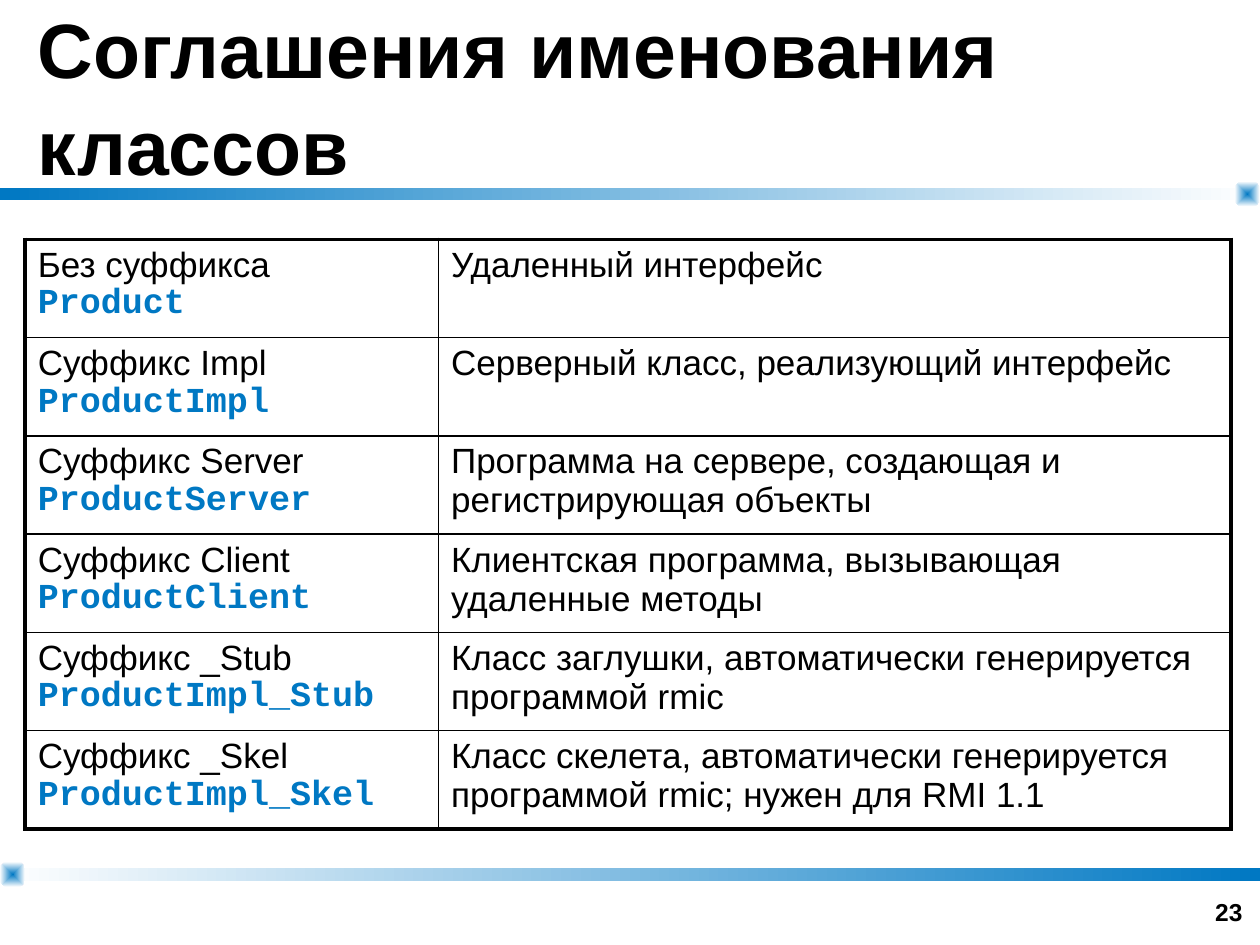
"""Builds a slide with a table of class naming conventions."""
import lxml.etree
import pptx
import pptx.dml.color
import pptx.enum.shapes
import pptx.enum.text
import pptx.oxml
import pptx.oxml.ns
import pptx.util

Inches, Pt = pptx.util.Inches, pptx.util.Pt
MSO_SHAPE = pptx.enum.shapes.MSO_SHAPE
ANCHOR, ALIGN = pptx.enum.text.MSO_ANCHOR, pptx.enum.text.PP_ALIGN
qn = pptx.oxml.ns.qn

HEADING = "Соглашения именования классов"
PAGE = "23"
CONVENTIONS = [
    ("Без суффикса", "Product", "Удаленный интерфейс"),
    ("Суффикс Impl", "ProductImpl", "Серверный класс, реализующий интерфейс"),
    ("Суффикс Server", "ProductServer",
     "Программа на сервере, создающая и регистрирующая объекты"),
    ("Суффикс Client", "ProductClient",
     "Клиентская программа, вызывающая удаленные методы"),
    ("Суффикс _Stub", "ProductImpl_Stub",
     "Класс заглушки, автоматически генерируется программой rmic"),
    ("Суффикс _Skel", "ProductImpl_Skel",
     "Класс скелета, автоматически генерируется программой rmic; нужен для RMI 1.1"),
]
THEME = {
    "text": "000000", "accent": "0078C3", "paper": "FFFFFF",
    "font": "Arial", "code": "Courier New",
    "heading": 44, "cell": 20, "page": 14,
    "outer": 2.25, "inner": 1,
}
COLUMN_WIDTHS = (3.28, 6.29)
ROW_HEIGHT = 0.78
BAR_HEIGHT, KNOB_SIZE = 0.1, 0.2
RULES = [
    (1.49, "accent", "paper", 10 - KNOB_SIZE),
    (6.89, "paper", "accent", 0),
]


def colour(name):
    return pptx.dml.color.RGBColor.from_string(THEME[name])


def add_run(paragraph, text, size, bold=False, font="font", ink="text"):
    run = paragraph.add_run()
    run.text = text
    run.font.name = THEME[font]
    run.font.size = Pt(THEME[size])
    run.font.bold = bold
    run.font.color.rgb = colour(ink)


def add_gradient_shape(slide, preset, box, start, end):
    shape = slide.shapes.add_shape(preset, *map(Inches, box))
    shape.shadow.inherit = False
    shape.line.fill.background()
    shape.fill.gradient()
    shape.fill.gradient_angle = 0
    for stop, name in zip(shape.fill.gradient_stops, (start, end)):
        stop.color.rgb = colour(name)
    return shape


def add_rule(slide, top, start, end, knob_left):
    add_gradient_shape(slide, MSO_SHAPE.RECTANGLE, (0, top, 10, BAR_HEIGHT), start, end)
    knob_top = top + (BAR_HEIGHT - KNOB_SIZE) / 2
    knob = add_gradient_shape(slide, MSO_SHAPE.ROUNDED_RECTANGLE,
                              (knob_left, knob_top, KNOB_SIZE, KNOB_SIZE), "accent", "paper")
    knob.adjustments[0] = 0.32
    linear = knob.element.spPr.find(".//" + qn("a:lin"))
    gradient = linear.getparent()
    gradient.remove(linear)
    radial = lxml.etree.SubElement(gradient, qn("a:path"), {"path": "shape"})
    lxml.etree.SubElement(radial, qn("a:fillToRect"), dict.fromkeys("ltrb", "50000"))


def set_borders(cell, widths):
    properties = cell._tc.get_or_add_tcPr()
    for position, (side, width) in enumerate(widths.items()):
        border = pptx.oxml.parse_xml(
            f'<a:ln{side} {pptx.oxml.ns.nsdecls("a")} w="{Pt(width)}"><a:solidFill>'
            f'<a:srgbClr val="{THEME["text"]}"/></a:solidFill></a:ln{side}>')
        properties.insert(position, border)


def add_conventions(slide):
    row_count, column_count = len(CONVENTIONS), len(COLUMN_WIDTHS)
    table = slide.shapes.add_table(
        row_count, column_count, Inches(0.2), Inches(1.9),
        Inches(sum(COLUMN_WIDTHS)), Inches(ROW_HEIGHT * row_count)).table
    table.first_row = table.horz_banding = False
    for column, width in zip(table.columns, COLUMN_WIDTHS):
        column.width = Inches(width)
    for i, (suffix, example, meaning) in enumerate(CONVENTIONS):
        table.rows[i].height = Inches(ROW_HEIGHT)
        naming = table.cell(i, 0).text_frame.paragraphs[0]
        add_run(naming, suffix, "cell")
        naming.add_line_break()
        add_run(naming, example, "cell", True, "code", "accent")
        add_run(table.cell(i, 1).text_frame.paragraphs[0], meaning, "cell")
        for j in range(column_count):
            cell = table.cell(i, j)
            cell.fill.background()
            at_edge = {"L": j == 0, "R": j == column_count - 1,
                       "T": i == 0, "B": i == row_count - 1}
            set_borders(cell, {side: THEME["outer" if edge else "inner"]
                               for side, edge in at_edge.items()})


def main():
    deck = pptx.Presentation()
    deck.slide_width, deck.slide_height = Inches(10), Inches(7.5)
    slide = deck.slides.add_slide(deck.slide_layouts[5])
    for rule in RULES:
        add_rule(slide, *rule)

    heading = slide.shapes.title
    heading.left, heading.top = Inches(0.2), Inches(0)
    heading.width, heading.height = Inches(9.6), Inches(1.49)
    heading.text_frame.vertical_anchor = ANCHOR.MIDDLE
    heading.text_frame.auto_size = pptx.enum.text.MSO_AUTO_SIZE.NONE
    heading_line = heading.text_frame.paragraphs[0]
    heading_line.alignment = ALIGN.LEFT
    heading_line.line_spacing = 1.05
    add_run(heading_line, HEADING, "heading", True)

    page = slide.shapes.add_textbox(Inches(7.63), Inches(6.9), Inches(2.33), Inches(0.5))
    page.text_frame.word_wrap = True
    page.text_frame.vertical_anchor = ANCHOR.BOTTOM
    page_line = page.text_frame.paragraphs[0]
    page_line.alignment = ALIGN.RIGHT
    add_run(page_line, PAGE, "page", True)

    add_conventions(slide)
    deck.save("out.pptx")


if __name__ == "__main__":
    main()
